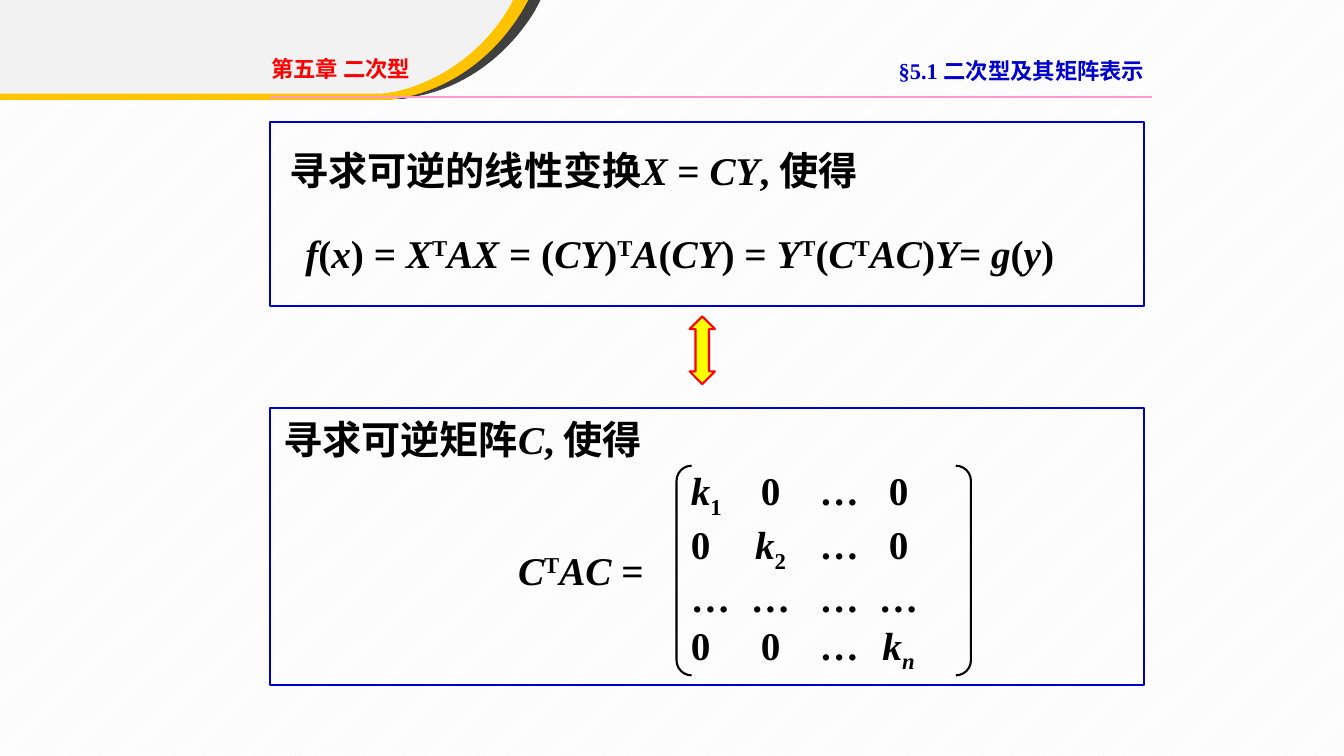
from pptx import Presentation
from pptx import util as u
from pptx.dml.color import RGBColor
from pptx.enum import dml, shapes, text
from pptx.oxml.ns import qn
from lxml import etree

Inches = u.Inches
LATIN, CHINESE = "Times New Roman", "Noto Sans CJK SC"


def color(value):
    return RGBColor.from_string(value)


def write(paragraph, content, size=28, hue="000000", font=LATIN, baseline=30000,
          spacing=None, align=text.PP_ALIGN.LEFT):
    """Stars enclose italics; carets enclose raised or lowered characters."""
    paragraph.alignment = align
    if spacing:
        paragraph.line_spacing = spacing
    for i, chunk in enumerate(content.split("*")):
        for j, piece in enumerate(chunk.split("^")):
            if not piece:
                continue
            run = paragraph.add_run()
            run.text = piece
            run.font.size = u.Pt(size)
            run.font.name = font
            run.font.bold = True
            run.font.italic = i % 2 == 1
            run.font.color.rgb = color(hue)
            properties = run.font._element
            if j % 2:
                properties.set("baseline", str(baseline))
            east_asian = etree.SubElement(properties, qn("a:ea"))
            east_asian.set("typeface", CHINESE)


presentation = Presentation()
presentation.slide_width = Inches(13.33)
presentation.slide_height = Inches(7.5)
slide = presentation.slides.add_slide(presentation.slide_layouts[6])

# Hatched background
backdrop = slide.shapes.add_shape(shapes.MSO_SHAPE.RECTANGLE, 0, 0,
                                  presentation.slide_width, presentation.slide_height)
backdrop.shadow.inherit = False
backdrop.fill.patterned()
backdrop.fill.pattern = dml.MSO_PATTERN.LIGHT_UPWARD_DIAGONAL
backdrop.fill.fore_color.rgb = color("F2F2F2")
backdrop.fill.back_color.rgb = color("FFFFFF")
backdrop.line.fill.background()

# Curved corner bands: fill, left edge, top right, four curve points, foot
bands = [
    ("404040", 0.12, (5.36, 0), [(5.31, 0.1), (5.05, 0.53), (4.64, 0.85), (4.16, 0.95)], (4.01, 0.98)),
    ("FFC300", 0, (5.24, 0), [(5.19, 0.09), (4.93, 0.53), (4.52, 0.85), (4.04, 0.96)], (3.89, 0.99)),
    ("F2F2F2", 0, (5.09, 0), [(5.04, 0.09), (4.79, 0.5), (4.39, 0.8), (3.92, 0.91)], (3.78, 0.93)),
]
STEPS = 24
for fill, left, corner, curve, foot in bands:
    points = [corner]
    for step in range(STEPS + 1):
        t = step / STEPS
        weights = ((1 - t) ** 3, 3 * t * (1 - t) ** 2, 3 * t ** 2 * (1 - t), t ** 3)
        points.append(tuple(sum(w * point[axis] for w, point in zip(weights, curve))
                            for axis in (0, 1)))
    points += [foot, (left, foot[1])]
    builder = slide.shapes.build_freeform(Inches(left), 0)
    builder.add_line_segments([(Inches(x), Inches(y)) for x, y in points], close=True)
    band = builder.convert_to_shape()
    band.shadow.inherit = False
    band.fill.solid()
    band.fill.fore_color.rgb = color(fill)
    band.line.fill.background()

# Text boxes
RIGHT = text.PP_ALIGN.RIGHT
boxes = [
    (2.93, 2.13, 7.95, 0.62,
     "*f*(*x*) = *X*^T^*AX *= (*CY*)^T^*A*(*CY*) = *Y*^T^(*C*^T^*AC*)*Y*= *g*(*y*)",
     dict(spacing=1.2)),
    (2.71, 3.98, 3.82, 0.67, "寻求可逆矩阵*C*, 使得", dict(spacing=1.2)),
    (2.77, 1.4, 6.02, 0.57, "寻求可逆的线性变换*X *= *CY*, 使得", {}),
    (5.04, 5.37, 1.48, 0.57, "*C*^T^*AC* =", {}),
    (8.5, 0.52, 2.95, 0.37, "§5.1 二次型及其矩阵表示",
     dict(size=16, hue="0000CC", align=RIGHT)),
    (2.59, 0.5, 1.76, 0.37, "第五章 二次型", dict(size=16, hue="FF0000", font=CHINESE)),
]
for left, top, width, height, content, style in boxes:
    box = slide.shapes.add_textbox(*map(Inches, (left, top, width, height)))
    box.text_frame.word_wrap = True
    write(box.text_frame.paragraphs[0], content, **style)

# Frames, double arrow and matrix brackets
outlines = [
    (shapes.MSO_SHAPE.RECTANGLE, 2.68, 1.21, 8.67, 1.83, "0000CC", None, ()),
    (shapes.MSO_SHAPE.RECTANGLE, 2.68, 4.05, 8.67, 2.75, "0000CC", None, ()),
    (shapes.MSO_SHAPE.UP_DOWN_ARROW, 6.84, 3.14, 0.25, 0.67, "FF0000", "FFFF00", (0.5, 0.533)),
    (shapes.MSO_SHAPE.DOUBLE_BRACKET, 6.71, 4.62, 2.92, 2.08, "000000", None, (0.072,)),
]
for kind, left, top, width, height, line, fill, adjustments in outlines:
    shape = slide.shapes.add_shape(kind, *map(Inches, (left, top, width, height)))
    shape.shadow.inherit = False
    shape.line.color.rgb = color(line)
    shape.line.width = u.Pt(1.5)
    if fill:
        shape.fill.solid()
        shape.fill.fore_color.rgb = color(fill)
    else:
        shape.fill.background()
    for i, value in enumerate(adjustments):
        shape.adjustments[i] = value

# Matrix entries inside the brackets, the last shape drawn
matrix = shape.text_frame
matrix.word_wrap = False
matrix.vertical_anchor = text.MSO_ANCHOR.MIDDLE
rows = ["*k*^1^\t0\t…\t0", "0\t*k*^2^\t…\t0", "…\t…\t…\t…", "0\t0\t…\t*k^n^*"]
for i, row in enumerate(rows):
    paragraph = matrix.paragraphs[0] if i == 0 else matrix.add_paragraph()
    tabs = etree.SubElement(paragraph._p.get_or_add_pPr(), qn("a:tabLst"))
    for stop in (0.79, 1.47, 2.06):
        etree.SubElement(tabs, qn("a:tab"), pos=str(Inches(stop)), algn="ctr")
    write(paragraph, row, baseline=-25000)

# Header rule
rule = slide.shapes.add_connector(shapes.MSO_CONNECTOR.STRAIGHT, Inches(2.68), Inches(0.96),
                                  Inches(11.43), Inches(0.96))
rule.line.color.rgb = color("FF99CC")
rule.line.width = u.Pt(1.5)
etree.SubElement(rule._element.spPr, qn("a:effectLst"))

presentation.save("out.pptx")
